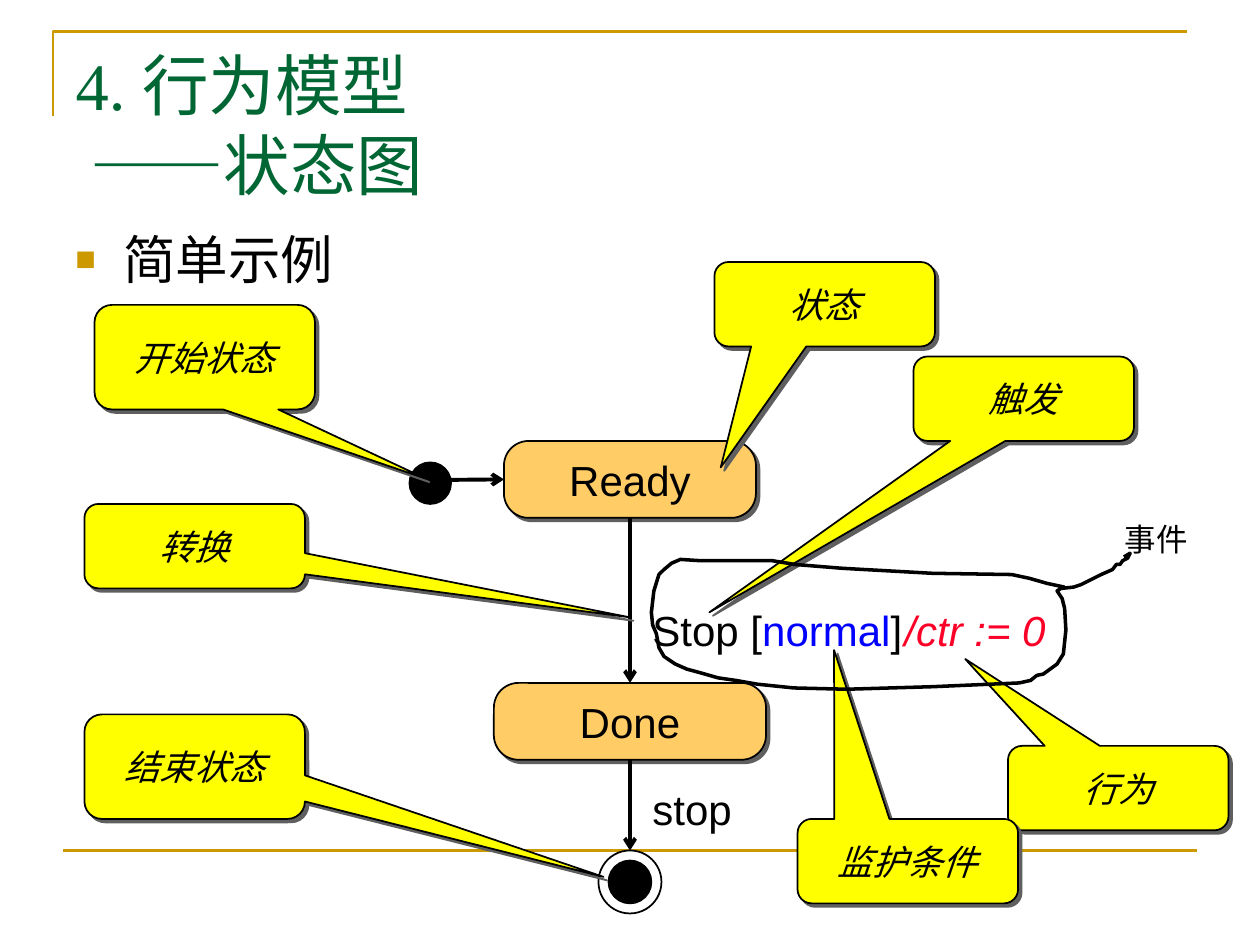
from lxml import etree
from pptx import Presentation
from pptx.dml.color import RGBColor
from pptx.enum.shapes import MSO_CONNECTOR, MSO_SHAPE
from pptx.enum.text import MSO_ANCHOR, MSO_AUTO_SIZE, PP_ALIGN
from pptx.oxml import parse_xml
from pptx.oxml.ns import qn
from pptx.util import Inches, Pt

STRAIGHT = MSO_CONNECTOR.STRAIGHT
ROUND, OVAL = MSO_SHAPE.ROUNDED_RECTANGLE, MSO_SHAPE.OVAL
CALLOUT = MSO_SHAPE.ROUNDED_RECTANGULAR_CALLOUT
TOP, MIDDLE = MSO_ANCHOR.TOP, MSO_ANCHOR.MIDDLE
LEFT, CENTER = PP_ALIGN.LEFT, PP_ALIGN.CENTER
NO_FIT = MSO_AUTO_SIZE.NONE
A = 'xmlns:a="http://schemas.openxmlformats.org/drawingml/2006/main"'
SHADOW = (f'<a:effectLst {A}><a:outerShdw blurRad="0" dist="35560" dir="2700000" algn="ctr" '
          'rotWithShape="0"><a:srgbClr val="5F5F5F"/></a:outerShdw></a:effectLst>')
BLACK, GOLD, GREEN = "000000", "CC9900", "006633"


def rgb(value):
    return RGBColor.from_string(value)


def add_run(p, text, size, color, italic=False, font="Arial"):
    r = p.add_run()
    r.text = text
    r.font.name, r.font.size, r.font.italic = font, Pt(size), italic
    r.font.color.rgb = rgb(color)


prs = Presentation()
prs.slide_width, prs.slide_height = Inches(10), Inches(7.5)
slide = prs.slides.add_slide(prs.slide_layouts[5])
shapes = slide.shapes

# Corner frame
fb = shapes.build_freeform(Inches(0.42), Inches(0.92))
fb.add_line_segments([(Inches(0.42), Inches(0.25)), (Inches(9.42), Inches(0.25))], close=False)
sp = fb.convert_to_shape()
sp.shadow.inherit = False
sp.fill.background()
sp.line.color.rgb, sp.line.width = rgb(GOLD), Pt(1.5)

# Title
title = shapes.title
title.left, title.top, title.width, title.height = Inches(0.5), Inches(0.3), Inches(9), Inches(1.25)
tf = title.text_frame
tf.vertical_anchor, tf.auto_size = TOP, NO_FIT
p = tf.paragraphs[0]
p.alignment = LEFT
add_run(p, "4. 行为模型", 38, GREEN, font="Times New Roman")
p.add_line_break()
add_run(p, " ", 38, GREEN, font="Times New Roman")
add_run(p, "——", 38, GREEN)
add_run(p, "状态图", 38, GREEN, font="Times New Roman")

# Bullet line
tf = shapes.add_textbox(Inches(0.5), Inches(1.75), Inches(9), Inches(0.65)).text_frame
tf.word_wrap = True
p = tf.paragraphs[0]
pPr = p._p.get_or_add_pPr()
pPr.set("marL", str(Inches(0.38)))
pPr.set("indent", str(-Inches(0.38)))
etree.SubElement(etree.SubElement(pPr, qn("a:buClr")), qn("a:srgbClr"), val=GOLD)
etree.SubElement(pPr, qn("a:buSzPct"), val="65000")
etree.SubElement(pPr, qn("a:buFont"), typeface="Arial")
etree.SubElement(pPr, qn("a:buChar"), char="■")
add_run(p, "简单示例", 30, BLACK)

# States
states = {}
for name, x, y, w in [("Ready", 4, 3.5, 2), ("Done", 3.92, 5.42, 2.16)]:
    sp = shapes.add_shape(ROUND, Inches(x), Inches(y), Inches(w), Inches(0.61))
    sp.adjustments[0] = 0.32
    sp.fill.solid()
    sp.fill.fore_color.rgb = rgb("FFCC66")
    sp.line.color.rgb, sp.line.width = rgb(BLACK), Pt(1)
    sp._element.spPr.append(parse_xml(SHADOW))
    tf = sp.text_frame
    tf.vertical_anchor = MIDDLE
    tf.paragraphs[0].alignment = CENTER
    add_run(tf.paragraphs[0], name, 24, BLACK)
    states[name] = sp

# Start dot, end ring and end dot
circles = []
for x, y, d, fill in [(3.25, 3.67, 0.33, BLACK), (4.75, 6.75, 0.5, "FFFFFF"),
                      (4.83, 6.83, 0.34, BLACK)]:
    sp = shapes.add_shape(OVAL, Inches(x), Inches(y), Inches(d), Inches(d))
    sp.shadow.inherit = False
    sp.fill.solid()
    sp.fill.fore_color.rgb = rgb(fill)
    sp.line.color.rgb, sp.line.width = rgb(BLACK), Pt(1)
    circles.append(sp)
start_dot, end_ring, end_dot = circles

# Footer rule and transitions: ends, joined shapes, colour, width
ready, done = states["Ready"], states["Done"]
for x1, y1, x2, y2, begin, end, color, width in [
        (0.5, 6.75, 9.5, 6.75, None, None, GOLD, 1.5),
        (3.42, 3.81, 4, 3.81, None, (ready, 1), BLACK, 2.25),
        (5, 4.11, 5, 5.42, (ready, 2), (done, 0), BLACK, 2.25),
        (5, 6.03, 5, 6.75, (done, 2), (end_ring, 0), BLACK, 2.25)]:
    cx = shapes.add_connector(STRAIGHT, Inches(x1), Inches(y1), Inches(x2), Inches(y2))
    if begin:
        cx.begin_connect(*begin)
    if end:
        cx.end_connect(*end)
    cx.line.color.rgb, cx.line.width = rgb(color), Pt(width)
    if end:
        etree.SubElement(cx.line._get_or_add_ln(), qn("a:tailEnd"), type="arrow")
    else:  # the rule lies behind everything
        shapes._spTree.insert(2, cx._element)
    etree.SubElement(cx._element.spPr, qn("a:effectLst"))

# Transition labels: place, size, runs of (text, colour, italic)
for x, y, w, h, size, runs in [
        (5.08, 6.17, 0.83, 0.5, 24, [("stop", BLACK, False)]),
        (7.08, 4.75, 1.32, 0.5, 24, [("/ctr := 0", "FC0128", True)]),
        (5.08, 4.75, 2.18, 0.5, 24, [("Stop [", BLACK, False), ("normal", "0000FF", False),
                                     ("]", BLACK, False)]),
        (8.83, 4.08, 0.7, 0.4, 18, [("事件", BLACK, False)])]:
    tf = shapes.add_textbox(Inches(x), Inches(y), Inches(w), Inches(h)).text_frame
    tf.word_wrap = False
    for text, color, italic in runs:
        add_run(tf.paragraphs[0], text, size, color, italic)

# Callouts: text, left, top, height, point of the tip
CALLOUT_W = 1.75
for text, x, y, h, tip_x, tip_y in [
        ("状态", 5.67, 2.08, 0.67, 5.72, 3.71),
        ("触发", 7.25, 2.83, 0.67, 5.63, 4.86),
        ("行为", 8, 5.92, 0.67, 7.66, 5.23),
        ("开始状态", 0.75, 2.42, 0.83, 3.38, 3.8),
        ("转换", 0.67, 4, 0.67, 5, 4.9),
        ("结束状态", 0.67, 5.67, 0.83, 4.79, 6.96),
        ("监护条件", 6.33, 6.5, 0.67, 6.62, 5.16)]:
    sp = shapes.add_shape(CALLOUT, Inches(x), Inches(y), Inches(CALLOUT_W), Inches(h))
    sp.adjustments[0] = (tip_x - x) / CALLOUT_W - 0.5
    sp.adjustments[1] = (tip_y - y) / h - 0.5
    sp.fill.solid()
    sp.fill.fore_color.rgb = rgb("FFFF00")
    sp.line.color.rgb, sp.line.width = rgb(BLACK), Pt(1)
    sp._element.spPr.append(parse_xml(SHADOW))
    tf = sp.text_frame
    tf.word_wrap, tf.vertical_anchor = False, MIDDLE
    tf.paragraphs[0].alignment = CENTER
    add_run(tf.paragraphs[0], text, 20, BLACK, True)

# Hand-drawn loop around the event, with its tail
loop = [(8.45, 4.66), (8.31, 4.63), (8.17, 4.59), (8.03, 4.56), (7.4, 4.55), (6.86, 4.52),
        (6.68, 4.51), (6.31, 4.48), (6.13, 4.45), (5.8, 4.45), (5.56, 4.45), (5.4, 4.44),
        (5.33, 4.47), (5.27, 4.52), (5.23, 4.56), (5.19, 4.69), (5.17, 4.86), (5.18, 4.96),
        (5.21, 5.03), (5.23, 5.14), (5.27, 5.21), (5.36, 5.27), (5.45, 5.31), (5.56, 5.34),
        (5.7, 5.38), (5.84, 5.4), (6.01, 5.43), (6.3, 5.46), (6.72, 5.47), (7.4, 5.45),
        (8.09, 5.42), (8.18, 5.4), (8.23, 5.36), (8.28, 5.35), (8.39, 5.27), (8.44, 5.19),
        (8.46, 5), (8.45, 4.83), (8.43, 4.75), (8.39, 4.69), (8.42, 4.67), (8.52, 4.66),
        (8.58, 4.64), (8.74, 4.56), (8.83, 4.52), (8.86, 4.48), (8.89, 4.48), (8.91, 4.45),
        (8.95, 4.43), (8.97, 4.39), (8.92, 4.42)]
points = [(Inches(x), Inches(y)) for x, y in loop]
fb = shapes.build_freeform(*points[0])
fb.add_line_segments(points[1:], close=False)
sp = fb.convert_to_shape()
sp.shadow.inherit = False
sp.fill.background()
sp.line.color.rgb, sp.line.width = rgb(BLACK), Pt(2)

prs.save("out.pptx")
